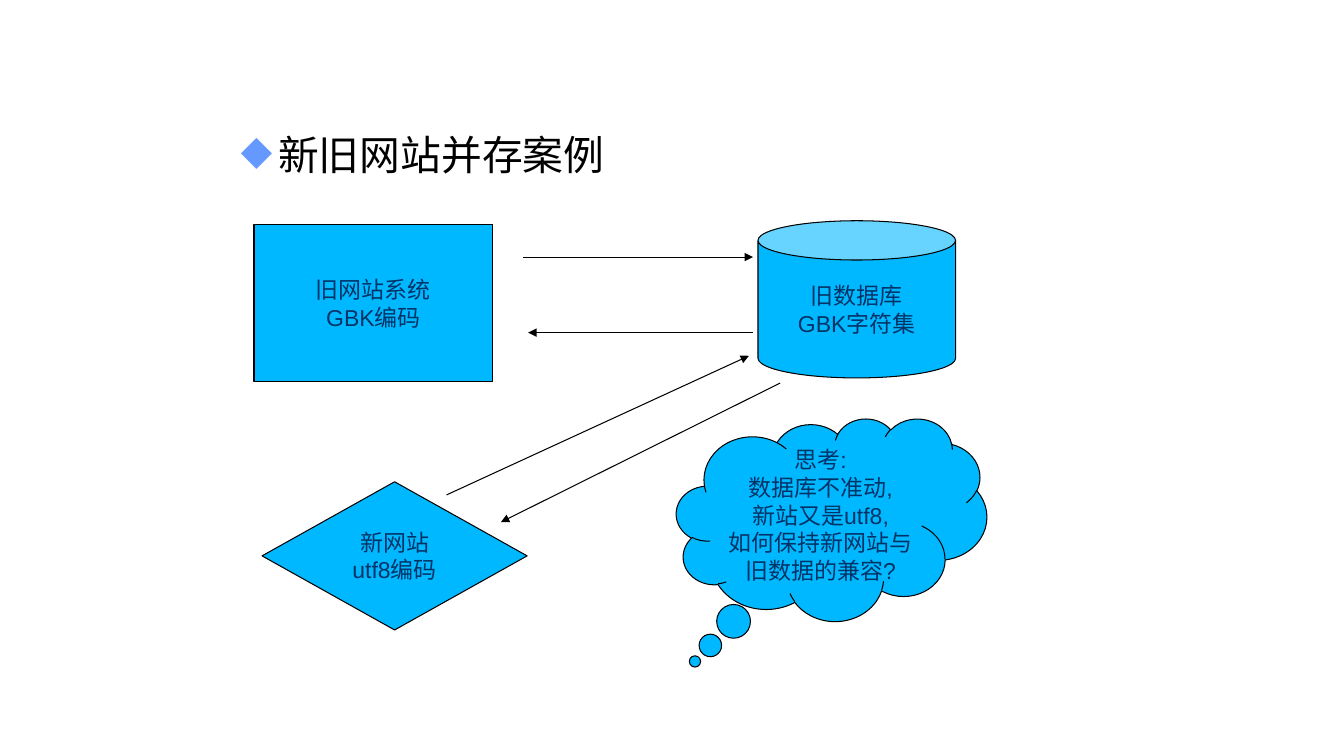
import pptx
import pptx.util
import pptx.dml.color
import pptx.enum.shapes
import pptx.enum.text
import pptx.oxml
import pptx.oxml.ns
from dataclasses import dataclass

SHAPE = pptx.enum.shapes.MSO_SHAPE
ALIGN = pptx.enum.text.PP_ALIGN
ANCHOR = pptx.enum.text.MSO_ANCHOR


@dataclass(frozen=True)
class Theme:
    fill: str = "00B8FF"
    line: str = "000000"
    label: str = "003366"
    title: str = "000000"
    bullet: str = "6699FF"
    label_font: str = "Arial"
    title_font: str = "DejaVu Sans"
    label_size: float = 16.4
    title_size: float = 29.1
    line_width: float = 0.75


THEME = Theme()

# Places are in cells of a square grid, ten cells to the inch.
CELL = pptx.util.Inches(0.1)
COLUMNS, ROWS = 133.33, 75

TITLE = "新旧网站并存案例"
TITLE_BOX = (22.9, 12.6, 82.6, 5.7)
TITLE_INDENT = 3.7

# preset, (left, top, width, height), adjustments, lines of text
NODES = [
    (SHAPE.CAN, (75.2, 21.9, 19.6, 15.6), [0.25], ["旧数据库", "GBK字符集"]),
    (SHAPE.RECTANGLE, (25.2, 22.3, 23.7, 15.6), [], ["旧网站系统", "GBK编码"]),
    (SHAPE.DIAMOND, (26, 47.8, 26.3, 14.7), [], ["新网站", "utf8编码"]),
    (SHAPE.CLOUD_CALLOUT, (67.1, 41.5, 30.8, 20.1), [-0.44, 0.7],
     ["思考:", "数据库不准动,", "新站又是utf8,", "如何保持新网站与", "旧数据的兼容?"]),
]

# (from column, from row), (to column, to row)
ARROWS = [
    ((51.9, 25.5), (74.7, 25.5)),
    ((74.7, 33), (52.4, 33)),
    ((44.3, 49.1), (74.3, 35.3)),
    ((77.4, 38), (49.7, 51.8)),
]


def cells(values):
    return [round(v * CELL) for v in values]


def rgb(value):
    return pptx.dml.color.RGBColor.from_string(value)


def add_xml(parent, tag, body="", **attrs):
    """Append a drawing element such as <a:buChar char="..."/> to parent."""
    attr_text = "".join(f' {k}="{v}"' for k, v in attrs.items())
    parent.append(pptx.oxml.parse_xml(
        f'<a:{tag} {pptx.oxml.ns.nsdecls("a")}{attr_text}>{body}</a:{tag}>'))


def write(tf, lines, *, font, size, color, align, anchor, wrap, spacing=None):
    tf.word_wrap = wrap
    tf.auto_size = pptx.enum.text.MSO_AUTO_SIZE.NONE
    tf.vertical_anchor = anchor
    for i, line in enumerate(lines):
        p = tf.add_paragraph() if i else tf.paragraphs[0]
        p.alignment = align
        if spacing:
            p.line_spacing = spacing
        r = p.add_run()
        r.text = line
        r.font.name = font
        r.font.size = pptx.util.Pt(size)
        r.font.color.rgb = rgb(color)


def set_title(slide):
    sp = slide.shapes.title
    sp.left, sp.top, sp.width, sp.height = cells(TITLE_BOX)
    write(sp.text_frame, [TITLE], font=THEME.title_font, size=THEME.title_size,
          color=THEME.title, align=ALIGN.LEFT, anchor=ANCHOR.MIDDLE, wrap=True,
          spacing=0.98)
    p = sp.text_frame.paragraphs[0]
    p.space_before = pptx.util.Pt(0)
    pPr = p._p.get_or_add_pPr()
    indent = round(TITLE_INDENT * CELL)
    pPr.set("marL", str(indent))
    pPr.set("indent", str(-indent))
    add_xml(pPr, "buClr", f'<a:srgbClr val="{THEME.bullet}"/>')
    add_xml(pPr, "buChar", char="◆")


def style_line(line):
    line.color.rgb = rgb(THEME.line)
    line.width = pptx.util.Pt(THEME.line_width)


def add_node(slide, preset, box, adjustments, lines):
    sp = slide.shapes.add_shape(preset, *cells(box))
    for i, value in enumerate(adjustments):
        sp.adjustments[i] = value
    sp.shadow.inherit = False
    sp.fill.solid()
    sp.fill.fore_color.rgb = rgb(THEME.fill)
    style_line(sp.line)
    write(sp.text_frame, lines, font=THEME.label_font, size=THEME.label_size,
          color=THEME.label, align=ALIGN.CENTER, anchor=ANCHOR.MIDDLE, wrap=False)


def add_arrow(slide, start, end):
    cxn = slide.shapes.add_connector(
        pptx.enum.shapes.MSO_CONNECTOR.STRAIGHT, *cells(start + end))
    style_line(cxn.line)
    add_xml(cxn.line._get_or_add_ln(), "tailEnd", type="triangle")
    add_xml(cxn._element.spPr, "effectLst")


def main():
    prs = pptx.Presentation()
    prs.slide_width, prs.slide_height = cells((COLUMNS, ROWS))
    slide = prs.slides.add_slide(prs.slide_layouts.get_by_name("Title Only"))
    set_title(slide)
    for node in NODES:
        add_node(slide, *node)
    for arrow in ARROWS:
        add_arrow(slide, *arrow)
    prs.save("out.pptx")


if __name__ == "__main__":
    main()
